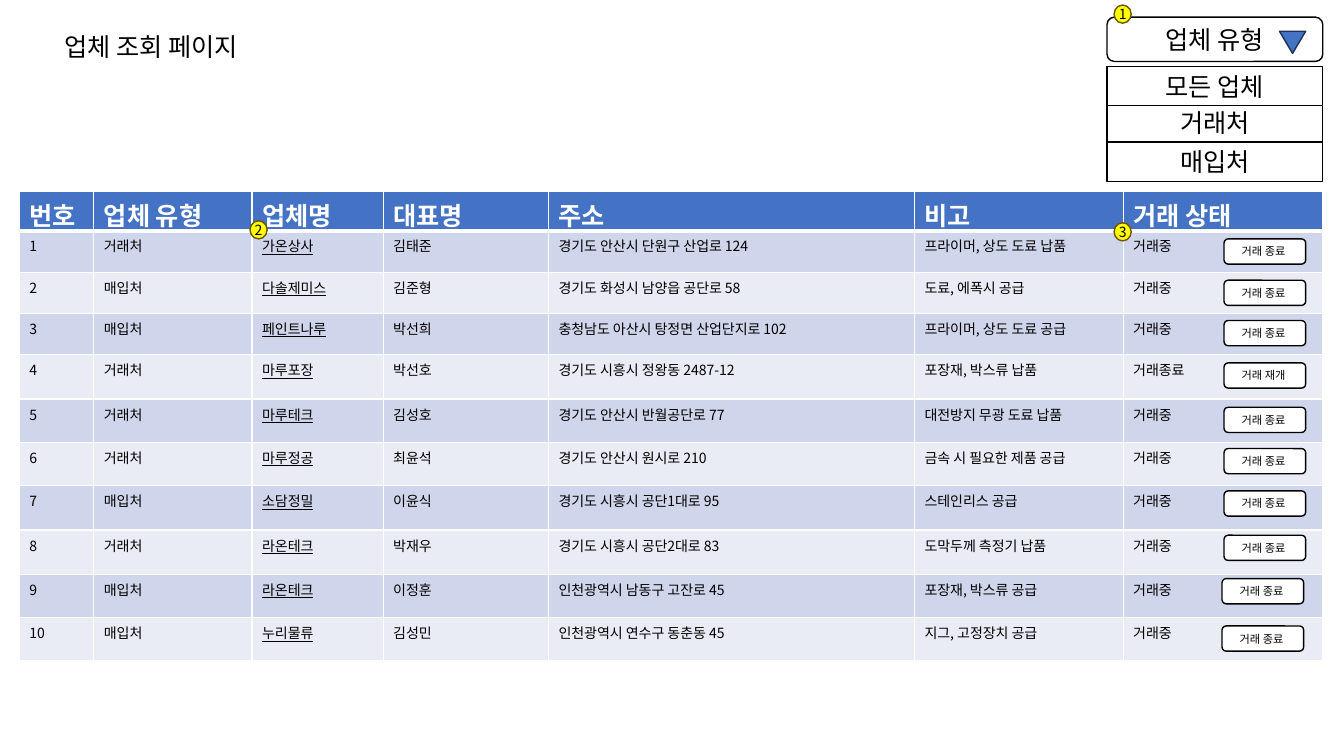
from dataclasses import dataclass

from lxml import etree
from pptx import Presentation
from pptx.dml.color import RGBColor
from pptx.enum.shapes import MSO_SHAPE as Shape
from pptx.enum.text import MSO_ANCHOR as Anchor, PP_ALIGN as Align
from pptx.oxml.ns import qn
from pptx.util import Emu, Pt

PX = 9144  # 100 px to the inch


@dataclass(frozen=True)
class Theme:
    font: str = "Noto Sans CJK KR"
    black: str = "000000"
    white: str = "FFFFFF"
    blue: str = "4472C4"
    navy: str = "1E3256"
    yellow: str = "FFFF00"
    brown: str = "705400"
    bands: tuple = ("CFD5EA", "E9EBF5")
    title: int = 18
    body: int = 10
    button: int = 8


@dataclass(frozen=True)
class Box:
    x: int
    y: int
    w: int
    h: int

    def emu(self) -> list:
        return [Emu(v * PX) for v in (self.x, self.y, self.w, self.h)]


@dataclass(frozen=True)
class Company:
    kind: str
    name: str
    owner: str
    address: str
    note: str
    status: str
    row_h: int
    button_x: int
    button_y: int

    def cells(self, number: int) -> list:
        return [str(number), self.kind, self.name, self.owner,
                self.address, self.note, self.status]

    def action(self) -> str:
        return "거래 재개 " if self.status == "거래종료" else "거래 종료 "


@dataclass(frozen=True)
class Option:
    text: str
    y: int


@dataclass(frozen=True)
class Badge:
    text: str
    x: int
    y: int


T = Theme()
HEADERS = ["번호", "업체 유형", "업체명", "대표명", "주소", "비고", "거래 상태"]
NAME_COL = HEADERS.index("업체명")
COL_W = [74, 157, 130, 164, 363, 207, 198]
HEADER_H = 39
COMPANIES = [
    Company("거래처", "가온상사", "김태준", "경기도 안산시 단원구 산업로 124",
            "프라이머, 상도 도료 납품", "거래중", 41, 1214, 237),
    Company("매입처", "다솔제미스", "김준형", "경기도 화성시 남양읍 공단로 58",
            "도료, 에폭시 공급", "거래중", 41, 1214, 278),
    Company("매입처", "페인트나루", "박선희", "충청남도 아산시 탕정면 산업단지로 102",
            "프라이머, 상도 도료 공급", "거래중", 41, 1214, 318),
    Company("거래처", "마루포장", "박선호", "경기도 시흥시 정왕동 2487-12",
            "포장재, 박스류 납품", "거래종료", 44, 1214, 360),
    Company("거래처", "마루테크", "김성호", "경기도 안산시 반월공단로 77",
            "대전방지 무광 도료 납품", "거래중", 43, 1214, 404),
    Company("거래처", "마루정공", "최윤석", "경기도 안산시 원시로 210",
            "금속 시 필요한 제품 공급", "거래중", 43, 1214, 445),
    Company("매입처", "소담정밀", "이윤식", "경기도 시흥시 공단1대로 95",
            "스테인리스 공급", "거래중", 44, 1214, 487),
    Company("거래처", "라온테크", "박재우", "경기도 시흥시 공단2대로 83",
            "도막두께 측정기 납품", "거래중", 44, 1214, 531),
    Company("매입처", "라온테크", "이정훈", "인천광역시 남동구 고잔로 45",
            "포장재, 박스류 공급", "거래중", 43, 1212, 574),
    Company("매입처", "누리물류", "김성민", "인천광역시 연수구 동춘동 45",
            "지그, 고정장치 공급", "거래중", 43, 1212, 621),
]
OPTIONS = [Option("거래처", 102), Option("매입처", 141), Option("모든 업체", 66)]
BADGES = [Badge("1", 1105, 5), Badge("2", 248, 219), Badge("3", 1105, 221)]


def rgb(color: str) -> RGBColor:
    return RGBColor.from_string(color)


def add_text(tf, text: str, size: int, color: str = T.black,
             bold: bool = False, underline: bool = False) -> None:
    r = tf.paragraphs[0].add_run()
    r.text = text
    r.font.size = Pt(size)
    r.font.name = T.font
    r.font.bold = bold
    r.font.underline = underline
    r.font.color.rgb = rgb(color)
    ea = etree.SubElement(r._r.get_or_add_rPr(), qn("a:ea"))
    ea.set("typeface", T.font)


def add_box(s, shape: Shape, box: Box, fill: str = T.white, line: str = T.black,
            text: str = "", size: int = T.title):
    sp = s.shapes.add_shape(shape, *box.emu())
    sp.shadow.inherit = False
    sp.fill.solid()
    sp.fill.fore_color.rgb = rgb(fill)
    sp.line.color.rgb = rgb(line)
    sp.line.width = Pt(1)
    if text:
        tf = sp.text_frame
        tf.vertical_anchor = Anchor.MIDDLE
        tf.paragraphs[0].alignment = Align.CENTER
        add_text(tf, text, size)
    return sp


def set_borders(cell, bottom: int) -> None:
    """White borders, 1 pt but for the bottom; they must come before the fill."""
    tc_pr = cell._tc.get_or_add_tcPr()
    for i, (side, width) in enumerate(zip("LRTB", (1, 1, 1, bottom))):
        ln = etree.Element(qn(f"a:ln{side}"), w=str(Pt(width)))
        fill = etree.SubElement(ln, qn("a:solidFill"))
        etree.SubElement(fill, qn("a:srgbClr"), val=T.white)
        tc_pr.insert(i, ln)


def add_company_table(s) -> None:
    heights = [HEADER_H] + [c.row_h for c in COMPANIES]
    rows = [HEADERS] + [c.cells(n) for n, c in enumerate(COMPANIES, 1)]
    box = Box(19, 190, sum(COL_W), sum(heights))
    table = s.shapes.add_table(len(rows), len(COL_W), *box.emu()).table
    for column, w in zip(table.columns, COL_W):
        column.width = Emu(w * PX)
    for i, (row, h, texts) in enumerate(zip(table.rows, heights, rows)):
        row.height = Emu(h * PX)
        header = i == 0
        for j, (cell, text) in enumerate(zip(row.cells, texts)):
            cell.fill.solid()
            cell.fill.fore_color.rgb = rgb(T.blue if header else T.bands[(i - 1) % 2])
            set_borders(cell, bottom=3 if header else 1)
            if header:
                cell.margin_bottom = 0
                add_text(cell.text_frame, text, T.title, T.white, bold=True)
            else:
                add_text(cell.text_frame, text, T.body, underline=j == NAME_COL)


def add_badge(s, badge: Badge) -> None:
    sp = add_box(s, Shape.FLOWCHART_CONNECTOR, Box(badge.x, badge.y, 17, 18),
                 T.yellow, T.brown, badge.text, T.body)
    tf = sp.text_frame
    tf.word_wrap = False
    tf.margin_left = tf.margin_right = tf.margin_top = tf.margin_bottom = 0


def main() -> None:
    prs = Presentation()
    prs.slide_width, prs.slide_height = Emu(1333 * PX), Emu(750 * PX)
    s = prs.slides.add_slide(prs.slide_layouts[6])

    add_box(s, Shape.ROUNDED_RECTANGLE, Box(1098, 17, 214, 44), text="업체 유형")
    tf = s.shapes.add_textbox(*Box(54, 26, 387, 40).emu()).text_frame
    tf.word_wrap = True
    add_text(tf, "업체 조회 페이지", T.title)

    add_company_table(s)
    for c in COMPANIES:
        add_box(s, Shape.ROUNDED_RECTANGLE, Box(c.button_x, c.button_y, 81, 25),
                text=c.action(), size=T.button)

    add_box(s, Shape.FLOWCHART_MERGE, Box(1269, 31, 26, 22), T.blue, T.navy)
    for option in OPTIONS:
        add_box(s, Shape.RECTANGLE, Box(1098, option.y, 214, 39), text=option.text)
    for badge in BADGES:
        add_badge(s, badge)

    prs.save("out.pptx")


if __name__ == "__main__":
    main()
